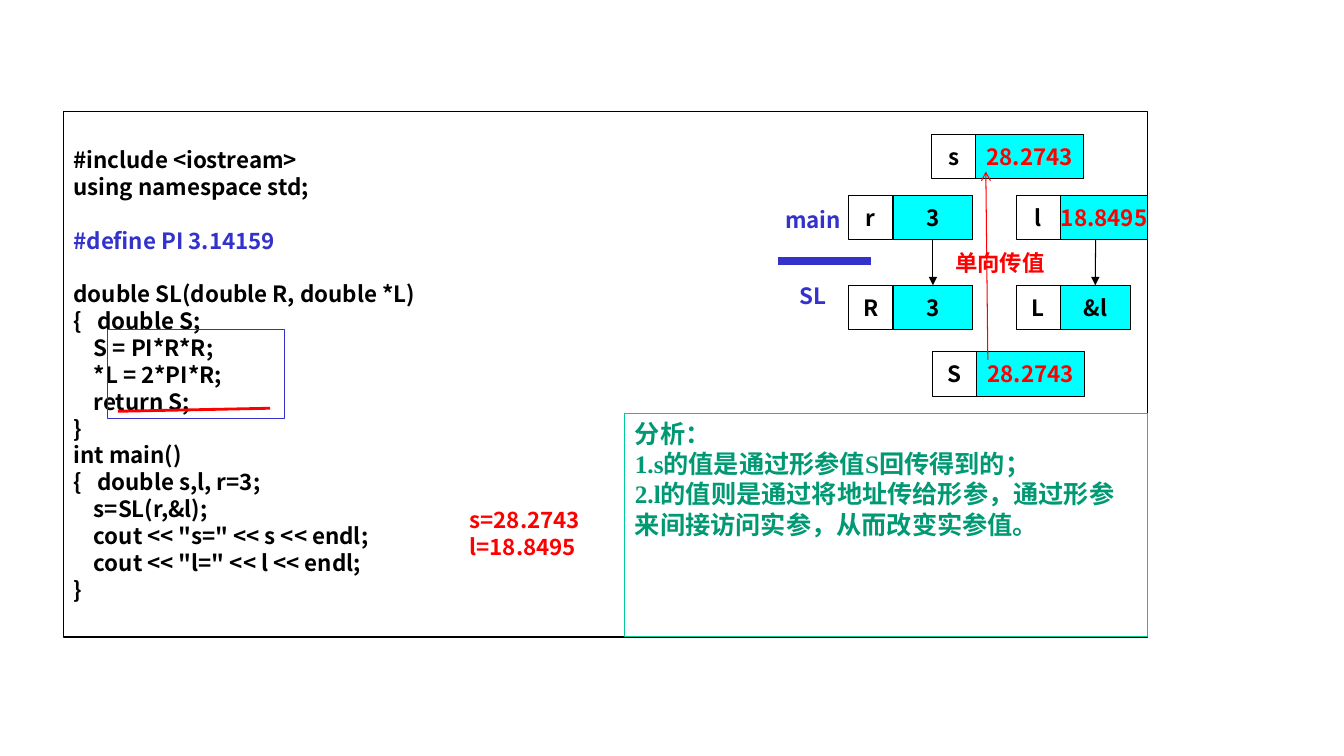
from dataclasses import dataclass
from typing import Optional

from lxml.etree import SubElement
from pptx import Presentation
from pptx.dml.color import RGBColor
from pptx.enum.shapes import MSO_CONNECTOR, MSO_SHAPE
from pptx.enum.text import MSO_ANCHOR, PP_ALIGN
from pptx.oxml.ns import qn
from pptx.shapes.autoshape import Shape
from pptx.shapes.connector import Connector
from pptx.slide import Slide
from pptx.text.text import _Paragraph as Paragraph
from pptx.util import Pt

BLACK = RGBColor(0x00, 0x00, 0x00)
RED = RGBColor(0xFF, 0x00, 0x00)
BLUE = RGBColor(0x33, 0x33, 0xCC)
CYAN = RGBColor(0x00, 0xFF, 0xFF)
GREEN = RGBColor(0x00, 0xCC, 0x99)
DARK_GREEN = RGBColor(0x00, 0x99, 0x73)

SANS = "Noto Sans CJK SC"
SERIF = "Times New Roman"
LINE_FACTOR = 1.2
CELL_SIZE = 31.7
INDENT = 14.5
BRACE_TAB = 17


@dataclass(frozen=True)
class Variable:
    name: str
    value: str
    left: float
    top: float
    value_width: float
    color: RGBColor = BLACK


@dataclass(frozen=True)
class CodeLine:
    text: str
    indent: float = 0
    blank_before: bool = False
    color: RGBColor = BLACK


@dataclass(frozen=True)
class Label:
    text: str
    left: float
    top: float
    width: float
    height: float
    color: RGBColor


VARIABLES = [
    Variable("r", "3", 606.2, 139.7, 57),
    Variable("s", "28.2743", 665.3, 95.8, 77, RED),
    Variable("l", "18.8495", 725.8, 139.7, 62.4, RED),
    Variable("R", "3", 606.2, 203.8, 57),
    Variable("S", "28.2743", 666, 251.3, 77, RED),
    Variable("L", "&l", 725.8, 203.8, 49.7),
]

CODE = [
    CodeLine("#include <iostream>"),
    CodeLine("using namespace std;"),
    CodeLine("#define PI 3.14159", blank_before=True, color=BLUE),
    CodeLine("double SL(double R, double *L)", blank_before=True),
    CodeLine("{\tdouble S;"),
    CodeLine("S = PI*R*R;", INDENT),
    CodeLine("*L = 2*PI*R;", INDENT),
    CodeLine("return S;", INDENT),
    CodeLine("}"),
    CodeLine("int main()"),
    CodeLine("{\tdouble s,l, r=3;"),
    CodeLine("s=SL(r,&l);", INDENT),
    CodeLine('cout << "s=" << s << endl;', INDENT),
    CodeLine('cout << "l=" << l << endl;', INDENT),
    CodeLine("}"),
]

LABELS = [
    Label("s=28.2743\nl=18.8495", 328.3, 357.8, 103.7, 54, RED),
    Label("main", 553.7, 144, 57.6, 28.8, BLUE),
    Label("SL", 563.8, 198, 35.3, 23, BLUE),
]

ANALYSIS = (
    "分析：\n"
    "1.s的值是通过形参值S回传得到的；\n"
    "2.l的值则是通过将地址传给形参，通过形参来间接访问实参，从而改变实参值。"
)


def write_text(shape: Shape, text: str, *, color: RGBColor = BLACK, font: str = SANS,
               size: float = 16, align: PP_ALIGN = PP_ALIGN.LEFT,
               anchor: MSO_ANCHOR = MSO_ANCHOR.TOP, wrap: bool = True) -> list[Paragraph]:
    frame = shape.text_frame
    frame.word_wrap = wrap
    frame.vertical_anchor = anchor
    frame.text = text
    for paragraph in frame.paragraphs:
        paragraph.alignment = align
        paragraph.line_spacing = Pt(size * LINE_FACTOR)
        for run in paragraph.runs:
            run.font.name = font
            run.font.size = Pt(size)
            run.font.bold = True
            run.font.color.rgb = color
            SubElement(run.font._element, qn("a:ea")).set("typeface", SANS)
    return list(frame.paragraphs)


def add_box(slide: Slide, left: float, top: float, width: float, height: float,
            line: RGBColor = BLACK, fill: Optional[RGBColor] = None) -> Shape:
    shape = slide.shapes.add_shape(MSO_SHAPE.RECTANGLE, Pt(left), Pt(top), Pt(width), Pt(height))
    shape.shadow.inherit = False
    if fill is None:
        shape.fill.background()
    else:
        shape.fill.solid()
        shape.fill.fore_color.rgb = fill
    shape.line.color.rgb = line
    shape.line.width = Pt(0.75)
    return shape


def add_line(slide: Slide, start: tuple[float, float], end: tuple[float, float],
             color: RGBColor = BLACK, width: float = 0.75,
             arrowhead: Optional[str] = None) -> Connector:
    connector = slide.shapes.add_connector(
        MSO_CONNECTOR.STRAIGHT, Pt(start[0]), Pt(start[1]), Pt(end[0]), Pt(end[1]))
    connector.line.color.rgb = color
    connector.line.width = Pt(width)
    if arrowhead:
        SubElement(connector.line._get_or_add_ln(), qn("a:tailEnd")).set("type", arrowhead)
    SubElement(connector._element.spPr, qn("a:effectLst"))
    return connector


def add_label(slide: Slide, label: Label) -> None:
    shape = slide.shapes.add_textbox(
        Pt(label.left), Pt(label.top), Pt(label.width), Pt(label.height))
    write_text(shape, label.text, color=label.color)


def add_code(slide: Slide) -> None:
    shape = add_box(slide, 45.4, 79.9, 774, 375.1)
    paragraphs = write_text(shape, "\n".join(line.text for line in CODE),
                            anchor=MSO_ANCHOR.MIDDLE)
    for paragraph, line in zip(paragraphs, CODE):
        paragraph.runs[0].font.color.rgb = line.color
        if line.blank_before:
            paragraph.space_before = Pt(16 * LINE_FACTOR)
        properties = paragraph._element.get_or_add_pPr()
        properties.set("marL", str(Pt(line.indent)))
        if "\t" in line.text:
            tab = SubElement(SubElement(properties, qn("a:tabLst")), qn("a:tab"))
            tab.set("pos", str(Pt(BRACE_TAB)))
            tab.set("algn", "l")


def add_variable(slide: Slide, variable: Variable) -> Shape:
    name_cell = add_box(slide, variable.left, variable.top, CELL_SIZE, CELL_SIZE)
    value_cell = add_box(slide, variable.left + CELL_SIZE, variable.top,
                         variable.value_width, CELL_SIZE, fill=CYAN)
    for cell, text, color in ((name_cell, variable.name, BLACK),
                              (value_cell, variable.value, variable.color)):
        write_text(cell, text, color=color, align=PP_ALIGN.CENTER,
                   anchor=MSO_ANCHOR.MIDDLE, wrap=False)
    return value_cell


def main() -> None:
    presentation = Presentation()
    presentation.slide_width = Pt(960)
    presentation.slide_height = Pt(540)
    slide = presentation.slides.add_slide(presentation.slide_layouts[6])

    for label in LABELS:
        add_label(slide, label)
    passing = slide.shapes.add_textbox(Pt(672.5), Pt(175.7), Pt(83.5), Pt(23))
    write_text(passing, "单向传值", color=RED, font=SERIF, align=PP_ALIGN.CENTER,
               anchor=MSO_ANCHOR.MIDDLE, wrap=False)

    add_code(slide)
    cells = {variable.name: add_variable(slide, variable) for variable in VARIABLES}

    value_arrow = add_line(slide, (666, 171.4), (666, 203.8), arrowhead="triangle")
    value_arrow.begin_connect(cells["r"], 2)
    value_arrow.end_connect(cells["R"], 0)
    address_arrow = add_line(slide, (782.6, 171.4), (782, 203.8), arrowhead="triangle")
    address_arrow.end_connect(cells["L"], 0)

    add_line(slide, (555.8, 186.5), (622, 186.5), BLUE, 6)
    add_box(slide, 77, 235.4, 126, 63.4, BLUE)
    add_line(slide, (84.2, 293.8), (193, 291.6), RED, 2)
    add_line(slide, (705.6, 257), (704.2, 122.4), RED, arrowhead="arrow")

    analysis = add_box(slide, 446.4, 295.2, 373.4, 159.8, GREEN)
    write_text(analysis, ANALYSIS, color=DARK_GREEN, font=SERIF, size=18)

    presentation.save("out.pptx")


if __name__ == "__main__":
    main()
